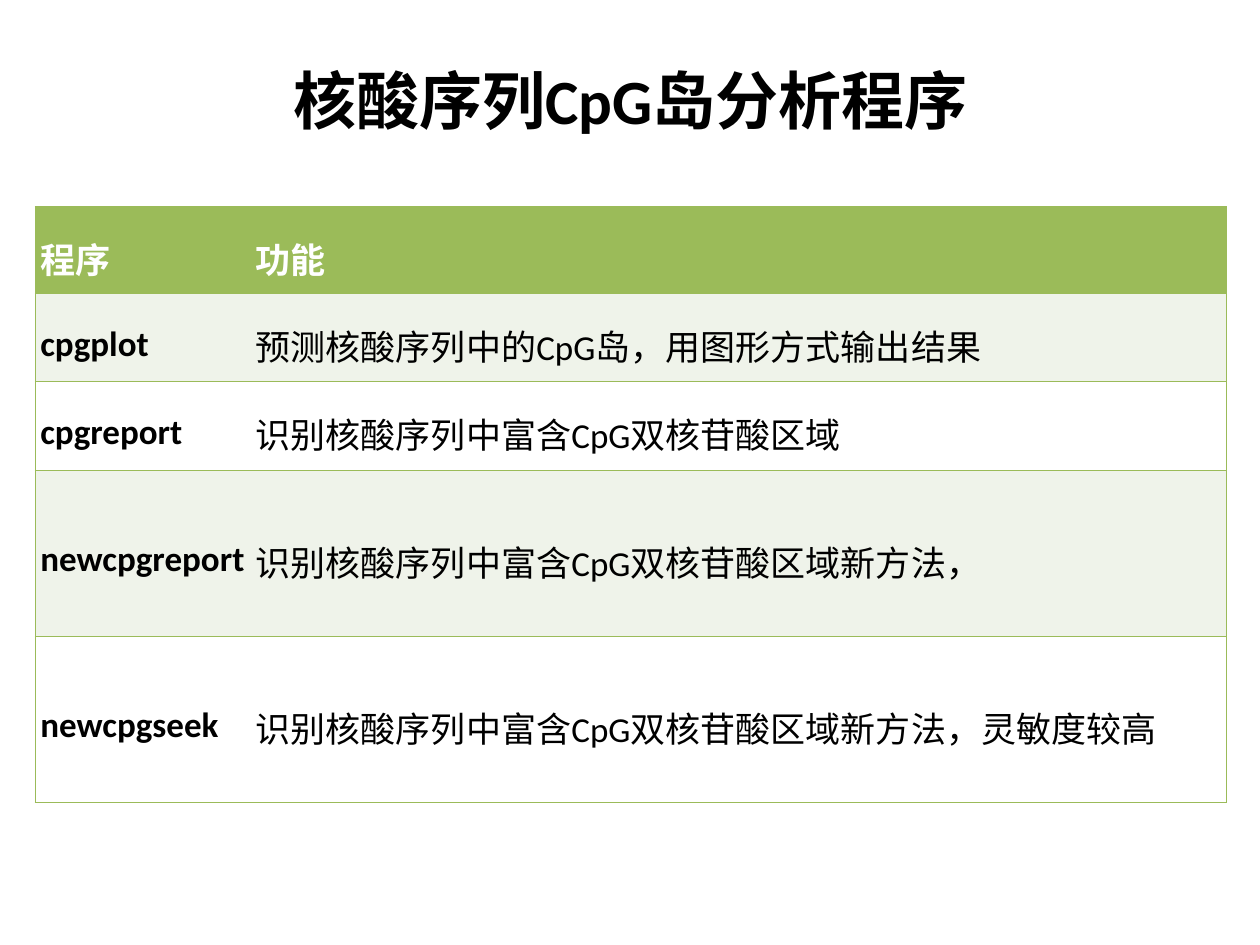
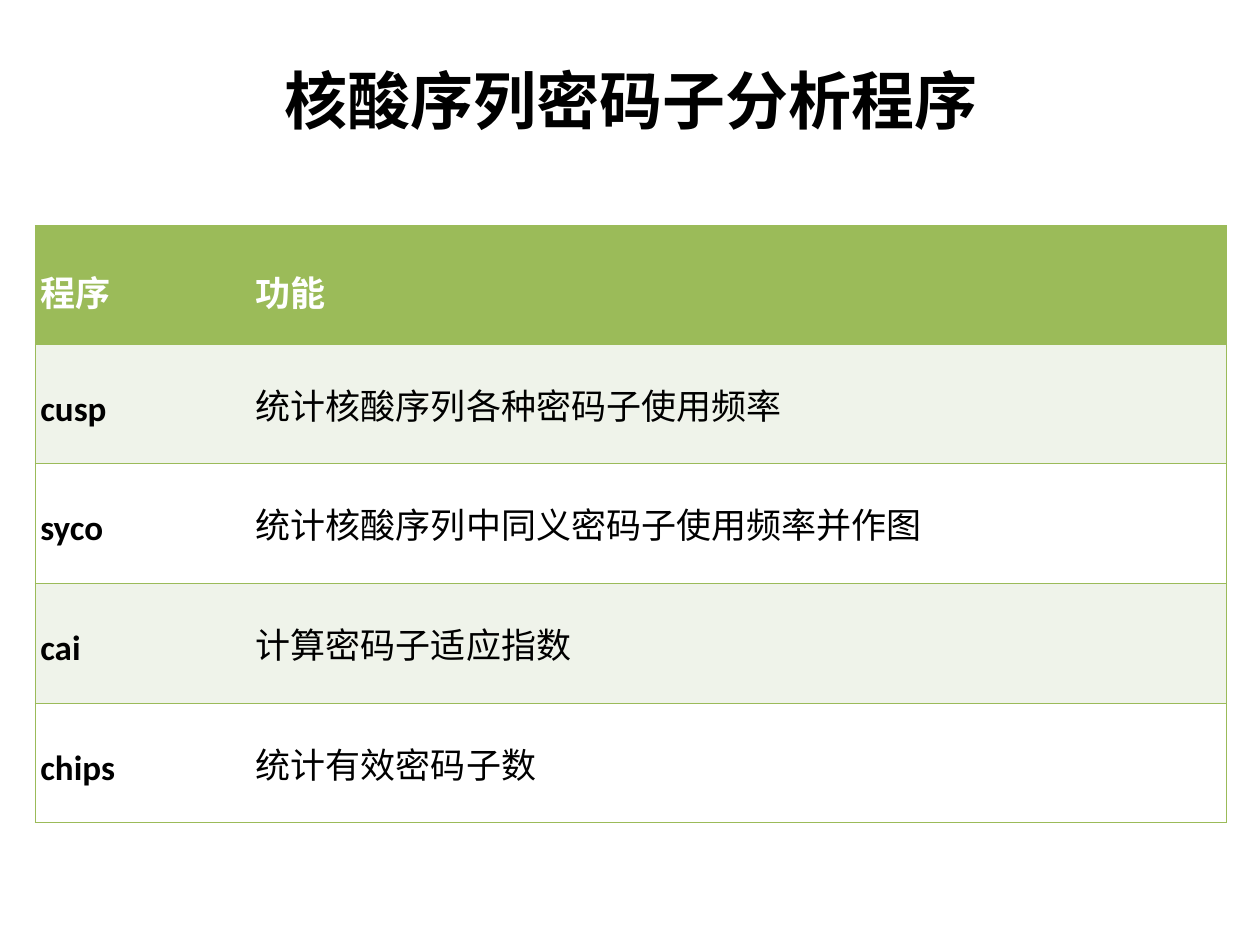
import dataclasses

import lxml.etree
import pptx
import pptx.dml.color
import pptx.enum.text
import pptx.oxml.ns
import pptx.util

Inches = pptx.util.Inches
Align = pptx.enum.text.PP_ALIGN
Anchor = pptx.enum.text.MSO_ANCHOR


@dataclasses.dataclass(frozen=True)
class Theme:
    font: str = "Calibri"
    title_size: int = 36
    table_size: int = 20
    border_width: float = 0.45
    green: str = "9BBB59"
    pale: str = "EFF3EA"
    white: str = "FFFFFF"
    black: str = "000000"


theme = Theme()


def write_text(text, frame, size, color=theme.black, bold=False, align=Align.LEFT, spacing=1.0):
    frame.word_wrap = True
    para = frame.paragraphs[0]
    para.alignment = align
    para.line_spacing = spacing
    span = para.add_run()
    span.text = text
    span.font.name = theme.font
    span.font.size = pptx.util.Pt(size)
    span.font.bold = bold
    span.font.color.rgb = pptx.dml.color.RGBColor.from_string(color)


def draw_borders(cell, sides):
    properties = cell._tc.get_or_add_tcPr()
    for side in "LRTB":
        line = lxml.etree.SubElement(properties, pptx.oxml.ns.qn(f"a:ln{side}"))
        if side in sides:
            line.set("w", str(int(pptx.util.Pt(theme.border_width))))
            fill = lxml.etree.SubElement(line, pptx.oxml.ns.qn("a:solidFill"))
            lxml.etree.SubElement(fill, pptx.oxml.ns.qn("a:srgbClr"), val=theme.green)
        else:
            lxml.etree.SubElement(line, pptx.oxml.ns.qn("a:noFill"))


left, width = 0.28, 9.45
column_widths = [1.71, 7.74]
header = ("程序", "功能")

pages = [
    {
        "title": "核酸序列CpG岛分析程序",
        "top": 1.64,
        "heights": [0.69, 0.7, 0.7, 1.32, 1.32],
        "spacing": 1.3,
        "function_align": Align.LEFT,
        "function_spacing": 1.3,
        "programs": [
            ("cpgplot", "预测核酸序列中的CpG岛，用图形方式输出结果"),
            ("cpgreport", "识别核酸序列中富含CpG双核苷酸区域"),
            ("newcpgreport", "识别核酸序列中富含CpG双核苷酸区域新方法，"),
            ("newcpgseek", "识别核酸序列中富含CpG双核苷酸区域新方法，灵敏度较高"),
        ],
    },
    {
        "title": "核酸序列密码子分析程序",
        "top": 1.79,
        "heights": [0.94] + [0.95] * 4,
        "spacing": 1.25,
        "function_align": Align.JUSTIFY,
        "function_spacing": 1.0,
        "programs": [
            ("cusp", "统计核酸序列各种密码子使用频率"),
            ("syco", "统计核酸序列中同义密码子使用频率并作图"),
            ("cai", "计算密码子适应指数"),
            ("chips", "统计有效密码子数"),
        ],
    },
]

deck = pptx.Presentation()
deck.slide_width = Inches(10)
deck.slide_height = Inches(7.5)

for content in pages:
    page = deck.slides.add_slide(deck.slide_layouts[6])

    title_box = page.shapes.add_textbox(Inches(left), Inches(0.39), Inches(width), Inches(0.79))
    title = title_box.text_frame
    title.margin_left = title.margin_right = Inches(0.14)
    title.margin_top = title.margin_bottom = Inches(0.08)
    title.vertical_anchor = Anchor.MIDDLE
    write_text(content["title"], title, theme.title_size, bold=True, align=Align.CENTER)

    rows = [header] + content["programs"]
    heights = content["heights"]
    table = page.shapes.add_table(
        len(rows), len(header), Inches(left), Inches(content["top"]), Inches(width), Inches(sum(heights))
    ).table
    table.first_row = False
    table.horz_banding = False
    for column, column_width in zip(table.columns, column_widths):
        column.width = Inches(column_width)

    for row_index, (texts, height) in enumerate(zip(rows, heights)):
        table.rows[row_index].height = Inches(height)
        is_header = row_index == 0
        band = theme.green if is_header else (theme.white, theme.pale)[row_index % 2]
        for column_index, text in enumerate(texts):
            is_function = column_index == 1 and not is_header
            cell = table.cell(row_index, column_index)
            cell.margin_left = cell.margin_right = Inches(0.04)
            cell.margin_top = cell.margin_bottom = Inches(0.05)
            cell.vertical_anchor = Anchor.MIDDLE
            draw_borders(cell, ("LTB", "RTB")[column_index])
            cell.fill.solid()
            cell.fill.fore_color.rgb = pptx.dml.color.RGBColor.from_string(band)
            write_text(
                text,
                cell.text_frame,
                theme.table_size,
                color=theme.white if is_header else theme.black,
                bold=not is_function,
                align=content["function_align"] if is_function else Align.LEFT,
                spacing=content["function_spacing"] if is_function else content["spacing"],
            )

deck.save("out.pptx")
